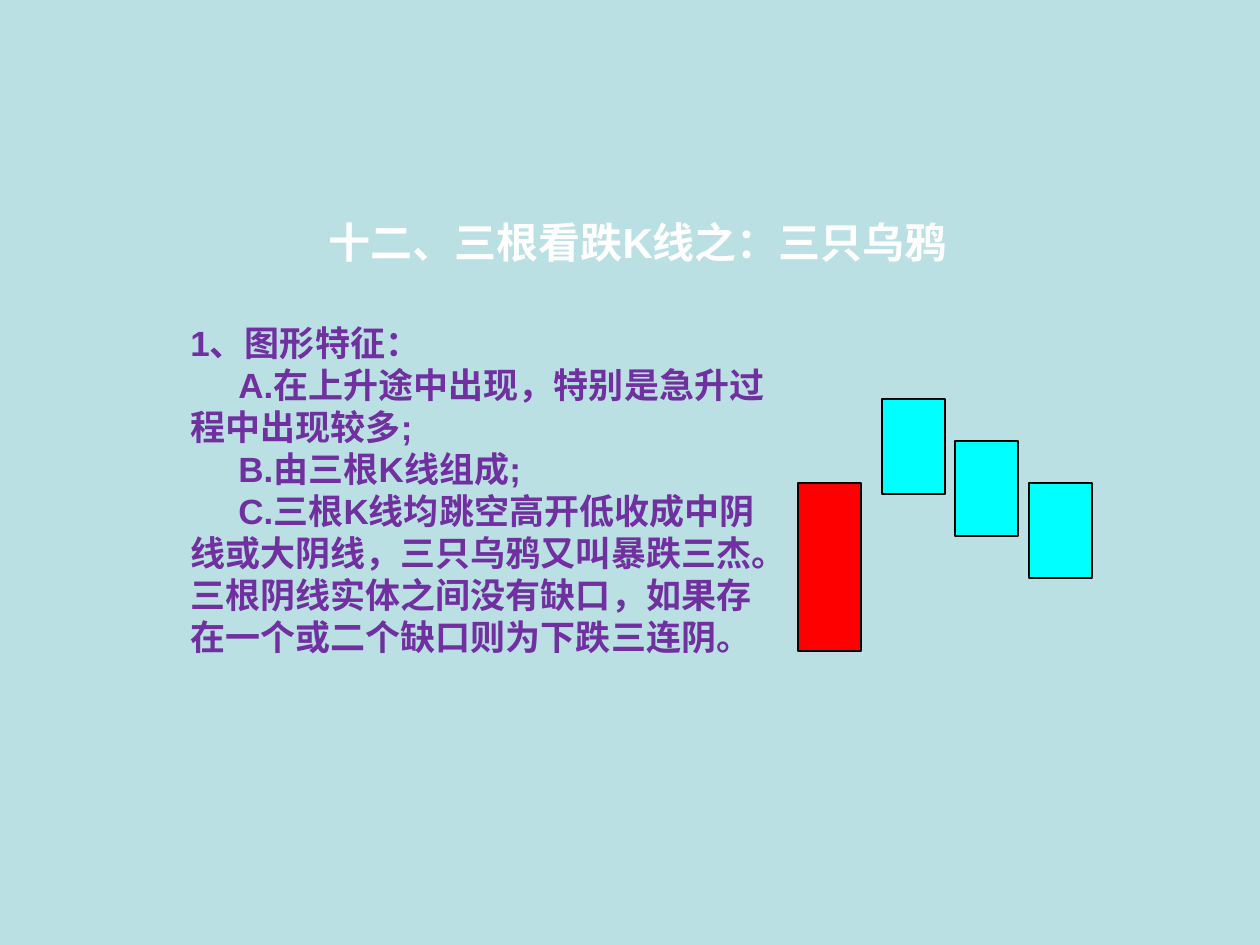
from pptx import Presentation
from pptx.dml.color import RGBColor
from pptx.enum.shapes import MSO_SHAPE
from pptx.enum.text import MSO_ANCHOR, MSO_AUTO_SIZE, PP_ALIGN
from pptx.util import Emu, Pt

RECT = MSO_SHAPE.RECTANGLE
TOP = MSO_ANCHOR.TOP
NO_FIT = MSO_AUTO_SIZE.NONE
LEFT = PP_ALIGN.LEFT
TITLE_ONLY = 5
PX_PER_INCH = 126
FONT = "Arial"

TITLE = "十二、三根看跌K线之：三只乌鸦"
HEADING = "1、图形特征："
FEATURES = [
    "A.在上升途中出现，特别是急升过程中出现较多;",
    "B.由三根K线组成;",
    "C.三根K线均跳空高开低收成中阴线或大阴线，三只乌鸦又叫暴跌三杰。"
    "三根阴线实体之间没有缺口，如果存在一个或二个缺口则为下跌三连阴。",
]
CROW_LEFTS = [882, 955, 1029]


def px(n):
    return Emu(round(n * 914400 / PX_PER_INCH))


def rgb(code):
    return RGBColor.from_string(code)


def place(sp, left, top, width, height):
    sp.left, sp.top, sp.width, sp.height = map(px, (left, top, width, height))


def set_frame(tf):
    tf.word_wrap = True
    tf.auto_size = NO_FIT
    tf.vertical_anchor = TOP


def add_text(p, text, size, color, indent=0):
    """Write one bold run; indent shifts the first line only."""
    p.alignment = LEFT
    if indent:
        p._p.get_or_add_pPr().set("indent", str(px(indent)))
    r = p.add_run()
    r.text = text
    r.font.name = FONT
    r.font.size = Pt(size)
    r.font.bold = True
    r.font.color.rgb = rgb(color)


def add_title(s):
    sp = s.shapes.title
    place(sp, 316, 210, 680, 63)
    set_frame(sp.text_frame)
    add_text(sp.text_frame.paragraphs[0], TITLE, 24, "FFFFFF")


def add_features(s):
    sp = s.shapes.add_textbox(px(178), px(315), px(599), px(433))
    tf = sp.text_frame
    set_frame(tf)
    add_text(tf.paragraphs[0], HEADING, 20, "7030A0")
    for feature in FEATURES:
        add_text(tf.add_paragraph(), feature, 20, "7030A0", indent=48)


def add_candle(s, left, top, height, color):
    sp = s.shapes.add_shape(RECT, px(left), px(top), px(63), px(height))
    sp.shadow.inherit = False
    sp.fill.solid()
    sp.fill.fore_color.rgb = rgb(color)
    sp.line.color.rgb = rgb("000000")
    sp.line.width = Pt(1.5)


def main():
    prs = Presentation()
    prs.slide_width, prs.slide_height = px(1260), px(945)
    s = prs.slides.add_slide(prs.slide_layouts[TITLE_ONLY])
    s.background.fill.solid()
    s.background.fill.fore_color.rgb = rgb("BBE0E3")
    add_title(s)
    add_features(s)
    add_candle(s, 798, 483, 168, "FF0000")
    for i, left in enumerate(CROW_LEFTS):
        add_candle(s, left, 399 + 42 * i, 95, "00FFFF")
    prs.save("out.pptx")


if __name__ == "__main__":
    main()
